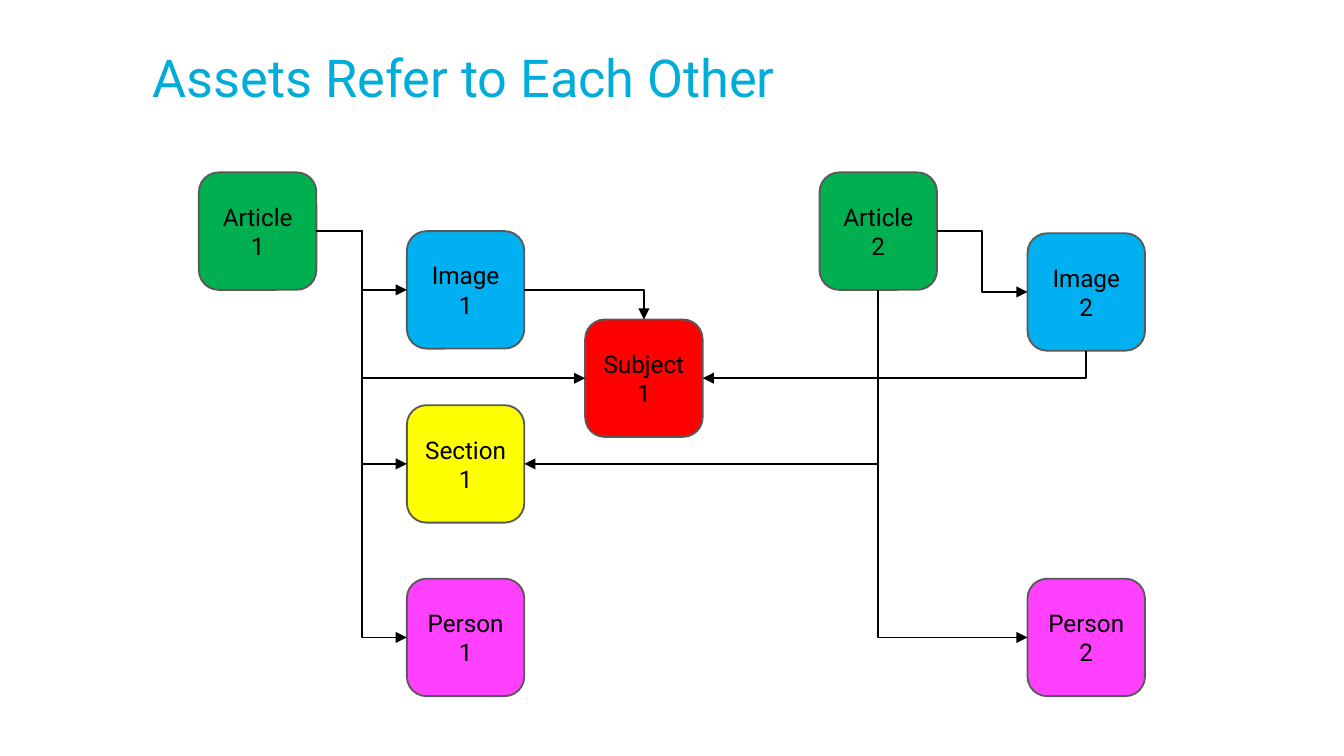
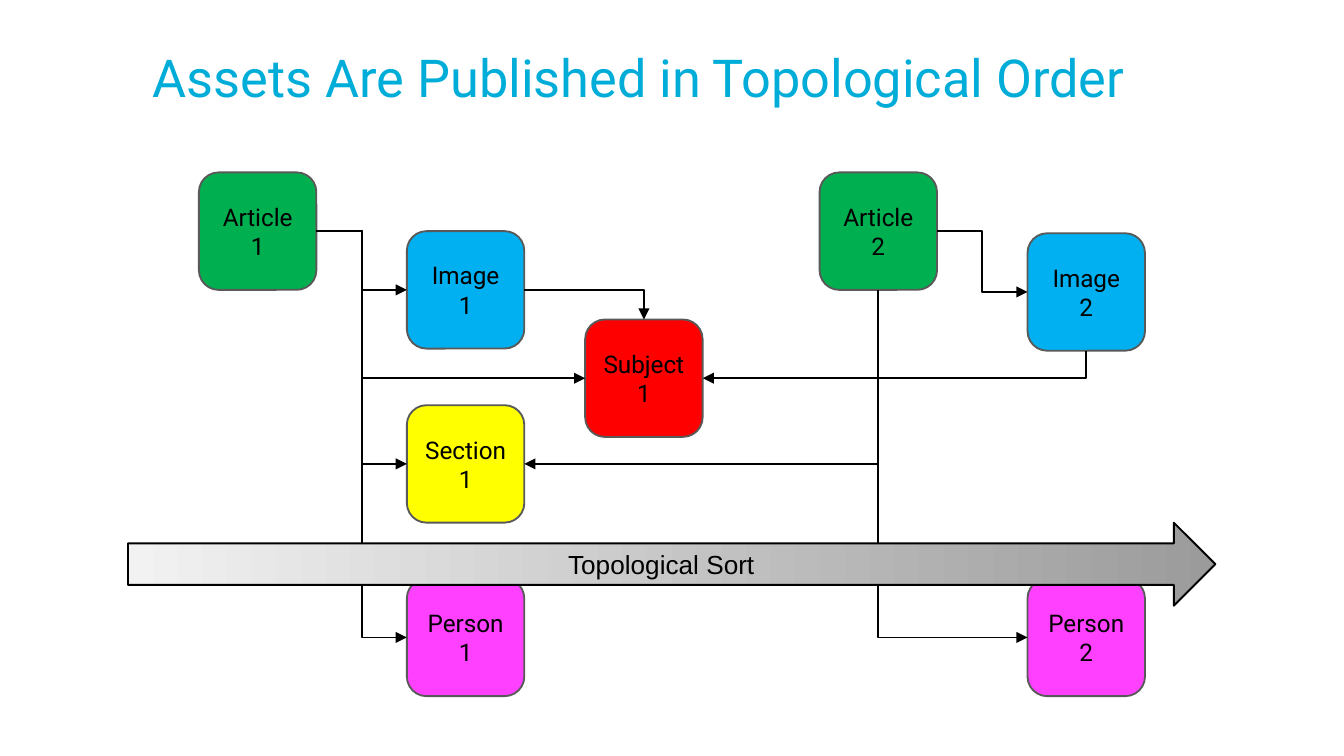
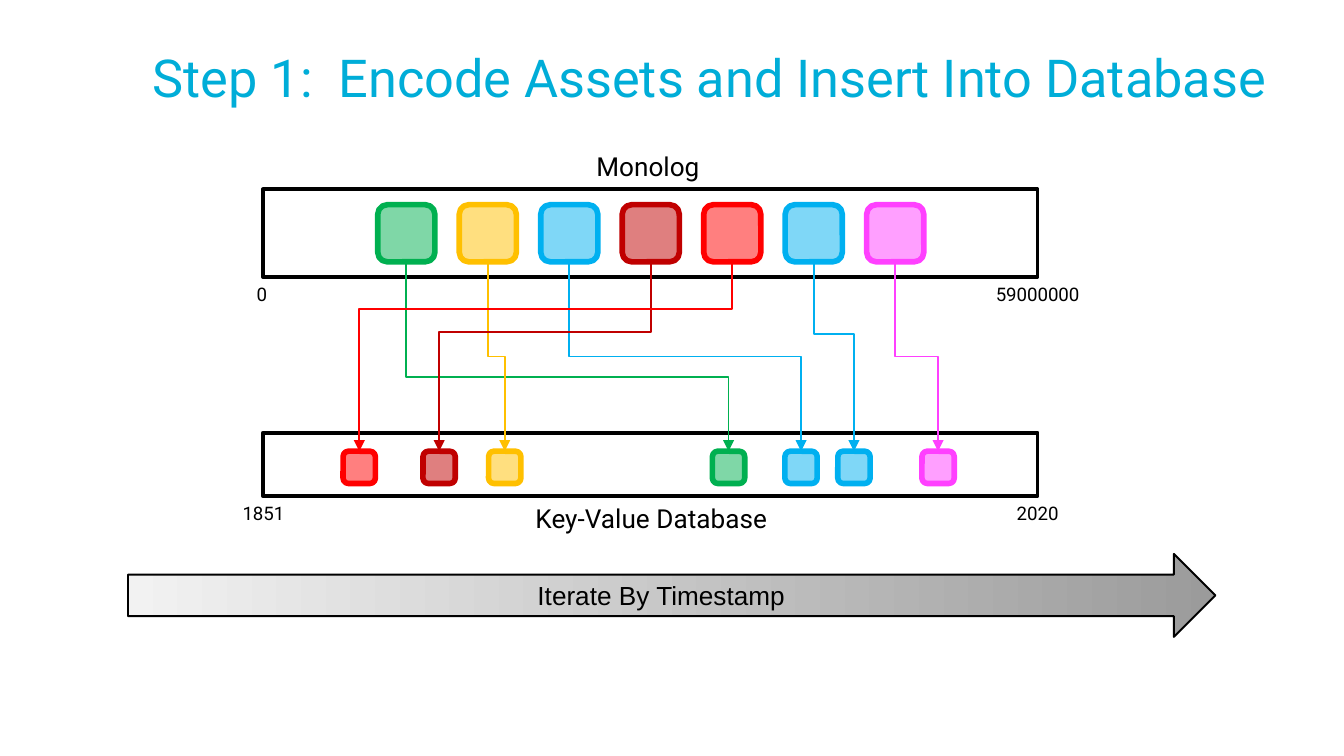
from copy import deepcopy
from dataclasses import dataclass

from lxml import etree
from pptx import Presentation
from pptx.dml.color import RGBColor
from pptx.enum import shapes, text
from pptx.oxml import ns
from pptx.util import Cm, Pt

COLOURS = {
    "title": "00ADD8", "ink": "000000", "outline": "595959",
    "green": "00B050", "blue": "00B0F0", "yellow": "FFFF00", "red": "FF0000",
    "pink": "FF40FF", "amber": "FFC000", "crimson": "C00000",
    "arrow start": "F2F2F2", "arrow end": "9B9B9B",
}
FONT = "Roboto"
SHAPE = shapes.MSO_SHAPE
LEFT, CENTER = text.PP_ALIGN.LEFT, text.PP_ALIGN.CENTER
# Connection sites of a rectangle
ABOVE, BEFORE, BELOW, AFTER = range(4)


@dataclass(frozen=True)
class Asset:
    name: str
    colour: str
    left: float
    top: float


@dataclass(frozen=True)
class Reference:
    source: str
    source_site: int
    target: str
    target_site: int
    bend: float = 0.5


@dataclass(frozen=True)
class Record:
    colour: str
    database_center: float
    bend: float = 0.5


@dataclass(frozen=True)
class Label:
    words: str
    left: float
    top: float
    width: float
    height: float
    size: int
    align: text.PP_ALIGN = CENTER


ASSET_SIDE = 2.22
ASSETS = [
    Asset("Article\n1", "green", 3.76, 3.26),
    Asset("Image\n1", "blue", 7.69, 4.37),
    Asset("Section\n1", "yellow", 7.69, 7.66),
    Asset("Person\n1", "pink", 7.69, 10.94),
    Asset("Subject\n1", "red", 11.06, 6.04),
    Asset("Article\n2", "green", 15.49, 3.26),
    Asset("Image\n2", "blue", 19.42, 4.41),
    Asset("Person\n2", "pink", 19.42, 10.94),
]
REFERENCES = [
    Reference("Article\n1", AFTER, "Image\n1", BEFORE),
    Reference("Article\n1", AFTER, "Subject\n1", BEFORE, 0.17),
    Reference("Article\n1", AFTER, "Section\n1", BEFORE),
    Reference("Article\n1", AFTER, "Person\n1", BEFORE),
    Reference("Image\n1", AFTER, "Subject\n1", ABOVE),
    Reference("Article\n2", AFTER, "Image\n2", BEFORE),
    Reference("Image\n2", BELOW, "Subject\n1", AFTER),
    Reference("Article\n2", BELOW, "Section\n1", AFTER),
    Reference("Article\n2", BELOW, "Person\n2", BEFORE),
]

BAND_LEFT, BAND_WIDTH = 4.97, 14.64
BANDS = [(3.58, 1.66), (8.18, 1.2)]
LOG_SIDE, LOG_TOP, LOG_LEFT, LOG_PITCH = 1.08, 3.87, 7.14, 1.54
DATABASE_SIDE, DATABASE_TOP = 0.61, 8.53
RECORDS = [
    Record("green", 13.77, 0.61),
    Record("amber", 9.54),
    Record("blue", 15.14),
    Record("crimson", 8.3, 0.37),
    Record("red", 6.79, 0.25),
    Record("blue", 16.14, 0.38),
    Record("pink", 17.73),
]
LABELS = [
    Label("Monolog", 11.02, 2.72, 2.57, 0.86, 14, LEFT),
    Label("0", 4.6, 5.23, 0.76, 0.69, 10, LEFT),
    Label("59000000", 18.39, 5.23, 2.44, 0.69, 10),
    Label("1851", 4.32, 9.37, 1.32, 0.74, 10),
    Label("2020", 18.9, 9.37, 1.42, 0.74, 10),
    Label("Key-Value Database", 9.68, 9.37, 5.26, 0.91, 14),
]


def rgb(colour: str) -> RGBColor:
    return RGBColor.from_string(COLOURS[colour])


def write(frame, words: str, *, size: float, colour: str = "ink",
          font: str = FONT, align: text.PP_ALIGN = CENTER) -> None:
    para = frame.paragraphs[0]
    para.text = words
    para.alignment = align
    for span in para.runs:
        span.font.name = font
        span.font.size = Pt(size)
        span.font.color.rgb = rgb(colour)
    # Line breaks take the run format so that both lines are equally high
    for line_break in para._p.findall(ns.qn("a:br")):
        line_break.append(deepcopy(para.runs[0]._r.rPr))


def add_page(deck, title: str, title_width: float = 21.54):
    page = deck.slides.add_slide(deck.slide_layouts.get_by_name("Title Only"))
    box = page.shapes.title
    box.left, box.top, box.width, box.height = (
        Cm(2.64), Cm(0.61), Cm(title_width), Cm(1.6))
    frame = box.text_frame
    frame.margin_left = frame.margin_right = Cm(0.25)
    frame.margin_top = frame.margin_bottom = Cm(0.25)
    frame.vertical_anchor = text.MSO_ANCHOR.TOP
    frame.auto_size = text.MSO_AUTO_SIZE.NONE
    write(frame, title, size=28, colour="title", align=LEFT)
    return page


def add_outlined(page, kind: SHAPE, left: float, top: float, width: float,
                 height: float, *, line: str, weight: float):
    shape = page.shapes.add_shape(kind, Cm(left), Cm(top), Cm(width), Cm(height))
    shape.shadow.inherit = False
    shape.line.color.rgb = rgb(line)
    shape.line.width = Pt(weight)
    return shape


def add_asset(page, asset: Asset):
    box = add_outlined(page, SHAPE.ROUNDED_RECTANGLE, asset.left, asset.top,
                       ASSET_SIDE, ASSET_SIDE, line="outline", weight=1)
    box.fill.solid()
    box.fill.fore_color.rgb = rgb(asset.colour)
    frame = box.text_frame
    frame.margin_left = frame.margin_right = Cm(0.13)
    frame.margin_top = frame.margin_bottom = Cm(0.13)
    frame.vertical_anchor = text.MSO_ANCHOR.MIDDLE
    write(frame, asset.name, size=13)
    return box


def add_tile(page, colour: str, left: float, top: float, side: float):
    tile = add_outlined(page, SHAPE.ROUNDED_RECTANGLE, left, top, side, side,
                        line=colour, weight=3)
    tile.fill.solid()
    tile.fill.fore_color.rgb = rgb(colour)
    fill = tile._element.spPr.find(f"{ns.qn('a:solidFill')}/{ns.qn('a:srgbClr')}")
    etree.SubElement(fill, ns.qn("a:alpha"), val="50000")
    return tile


def turn_downwards(line) -> None:
    """Rotate an elbow so that it leaves its source vertically."""
    across, down = line.end_x - line.begin_x, line.end_y - line.begin_y
    middle_x = (line.begin_x + line.end_x) // 2
    middle_y = (line.begin_y + line.end_y) // 2
    line.width, line.height = down, abs(across)
    line.left, line.top = middle_x - down // 2, middle_y - abs(across) // 2
    frame = line._element.spPr.xfrm
    frame.rot = 270 if across > 0 else 90
    frame.flipH = across > 0
    frame.flipV = False


def add_elbow(page, source, source_site: int, target, target_site: int, *,
              bend: float, colour: str = "ink") -> None:
    line = page.shapes.add_connector(shapes.MSO_CONNECTOR.ELBOW, 0, 0, 0, 0)
    line.begin_connect(source, source_site)
    line.end_connect(target, target_site)
    if source_site == BELOW:
        turn_downwards(line)
    line.line.color.rgb = rgb(colour)
    line.line.width = Pt(1)
    etree.SubElement(line.line._get_or_add_ln(), ns.qn("a:tailEnd"), type="triangle")

    properties = line._element.spPr
    geometry = properties.find(ns.qn("a:prstGeom"))
    if source_site % 2 != target_site % 2:
        geometry.set("prst", "bentConnector2")
    else:
        guides = geometry.find(ns.qn("a:avLst"))
        etree.SubElement(guides, ns.qn("a:gd"), name="adj1",
                         fmla=f"val {round(bend * 100000)}")
    etree.SubElement(properties, ns.qn("a:effectLst"))


def add_order_arrow(page, words: str, top: float) -> None:
    arrow = add_outlined(page, SHAPE.RIGHT_ARROW, 2.42, top, 20.55, 1.57,
                         line="ink", weight=1)
    arrow.fill.gradient()
    arrow.fill.gradient_angle = 0
    for stop, colour in zip(arrow.fill.gradient_stops, ("arrow start", "arrow end")):
        stop.color.rgb = rgb(colour)
    arrow.text_frame.vertical_anchor = text.MSO_ANCHOR.MIDDLE
    write(arrow.text_frame, words, size=14, font="Arial")


def add_label(page, label: Label) -> None:
    box = page.shapes.add_textbox(Cm(label.left), Cm(label.top),
                                  Cm(label.width), Cm(label.height))
    box.text_frame.word_wrap = False
    box.text_frame.auto_size = text.MSO_AUTO_SIZE.SHAPE_TO_FIT_TEXT
    write(box.text_frame, label.words, size=label.size, align=label.align)


def add_asset_graph(page) -> None:
    boxes = {asset.name: add_asset(page, asset) for asset in ASSETS}
    for link in REFERENCES:
        add_elbow(page, boxes[link.source], link.source_site,
                  boxes[link.target], link.target_site, bend=link.bend)


def add_encoding(page) -> None:
    """Draw the log above the database, with each record linked across."""
    for top, height in BANDS:
        band = add_outlined(page, SHAPE.RECTANGLE, BAND_LEFT, top, BAND_WIDTH,
                            height, line="ink", weight=2)
        band.fill.background()
    for label in LABELS:
        add_label(page, label)
    pairs = [
        (add_tile(page, record.colour, LOG_LEFT + index * LOG_PITCH, LOG_TOP, LOG_SIDE),
         add_tile(page, record.colour, record.database_center - DATABASE_SIDE / 2,
                  DATABASE_TOP, DATABASE_SIDE))
        for index, record in enumerate(RECORDS)
    ]
    for record, (logged, stored) in zip(RECORDS, pairs):
        add_elbow(page, logged, BELOW, stored, ABOVE,
                  bend=record.bend, colour=record.colour)


def main() -> None:
    deck = Presentation()
    deck.slide_width, deck.slide_height = Cm(25.4), Cm(14.29)

    add_asset_graph(add_page(deck, "Assets Refer to Each Other"))

    page = add_page(deck, "Assets Are Published in Topological Order")
    add_asset_graph(page)
    add_order_arrow(page, "Topological Sort", 9.88)

    page = add_page(deck, "Step 1:  Encode Assets and Insert Into Database", 22.43)
    add_encoding(page)
    add_order_arrow(page, "Iterate By Timestamp", 10.47)

    deck.save("out.pptx")


if __name__ == "__main__":
    main()
